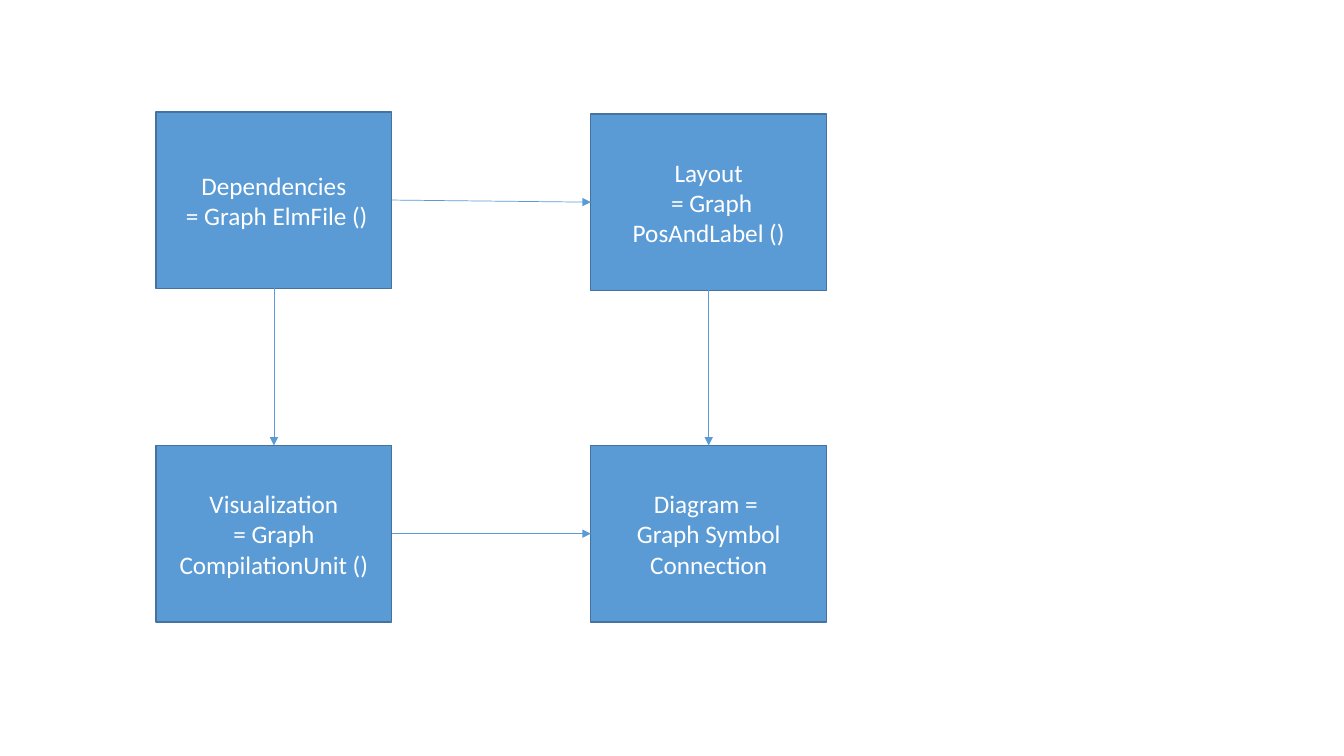
from lxml.etree import SubElement
from pptx import Presentation
from pptx.dml.color import RGBColor
from pptx.enum.shapes import MSO_CONNECTOR, MSO_SHAPE
from pptx.enum.text import MSO_ANCHOR, PP_ALIGN
from pptx.oxml.ns import qn
from pptx.util import Pt

BLUE = RGBColor(0x5B, 0x9B, 0xD5)
DARK_BLUE = RGBColor(0x43, 0x73, 0x9E)
WHITE = RGBColor(0xFF, 0xFF, 0xFF)

LEFT_X, RIGHT_X = 111.4, 422
BOTTOM_Y = 318.2
BOX_W, BOX_H = 168.5, 126
TOP, LEFT, BOTTOM, RIGHT = range(4)  # connection sites of a rectangle


def add_box(slide, x, y, lines):
    sp = slide.shapes.add_shape(MSO_SHAPE.RECTANGLE, Pt(x), Pt(y), Pt(BOX_W), Pt(BOX_H))
    sp.shadow.inherit = False
    sp.fill.solid()
    sp.fill.fore_color.rgb = BLUE
    sp.line.color.rgb = DARK_BLUE
    sp.line.width = Pt(1)
    tf = sp.text_frame
    tf.word_wrap = True
    tf.vertical_anchor = MSO_ANCHOR.MIDDLE
    tf.text = "\n".join(lines)
    for p in tf.paragraphs:
        p.alignment = PP_ALIGN.CENTER
        p.font.name = "Calibri"
        p.font.size = Pt(18)
        p.font.color.rgb = WHITE
    return sp


def add_arrow(slide, source, source_site, target, target_site):
    """Glue an arrow from one box's connection site to another's."""
    cxn = slide.shapes.add_connector(MSO_CONNECTOR.STRAIGHT, 0, 0, 0, 0)
    cxn.begin_connect(source, source_site)
    cxn.end_connect(target, target_site)
    cxn.line.color.rgb = BLUE
    cxn.line.width = Pt(0.5)
    SubElement(cxn.line._get_or_add_ln(), qn("a:tailEnd"), type="triangle")
    SubElement(cxn._element.spPr, qn("a:effectLst"))


def main():
    prs = Presentation()
    prs.slide_width, prs.slide_height = Pt(960), Pt(540)
    slide = prs.slides.add_slide(prs.slide_layouts[6])

    dependencies = add_box(slide, LEFT_X, 79.9, ["Dependencies", " = Graph ElmFile ()"])
    layout = add_box(slide, RIGHT_X, 81.4, ["Layout", " = Graph PosAndLabel ()"])
    visualization = add_box(slide, LEFT_X, BOTTOM_Y,
                            ["Visualization", "= Graph CompilationUnit ()"])
    diagram = add_box(slide, RIGHT_X, BOTTOM_Y, ["Diagram = ", "Graph Symbol Connection"])

    add_arrow(slide, dependencies, RIGHT, layout, LEFT)
    add_arrow(slide, dependencies, BOTTOM, visualization, TOP)
    add_arrow(slide, layout, BOTTOM, diagram, TOP)
    add_arrow(slide, visualization, RIGHT, diagram, LEFT)

    prs.save("out.pptx")


if __name__ == "__main__":
    main()
